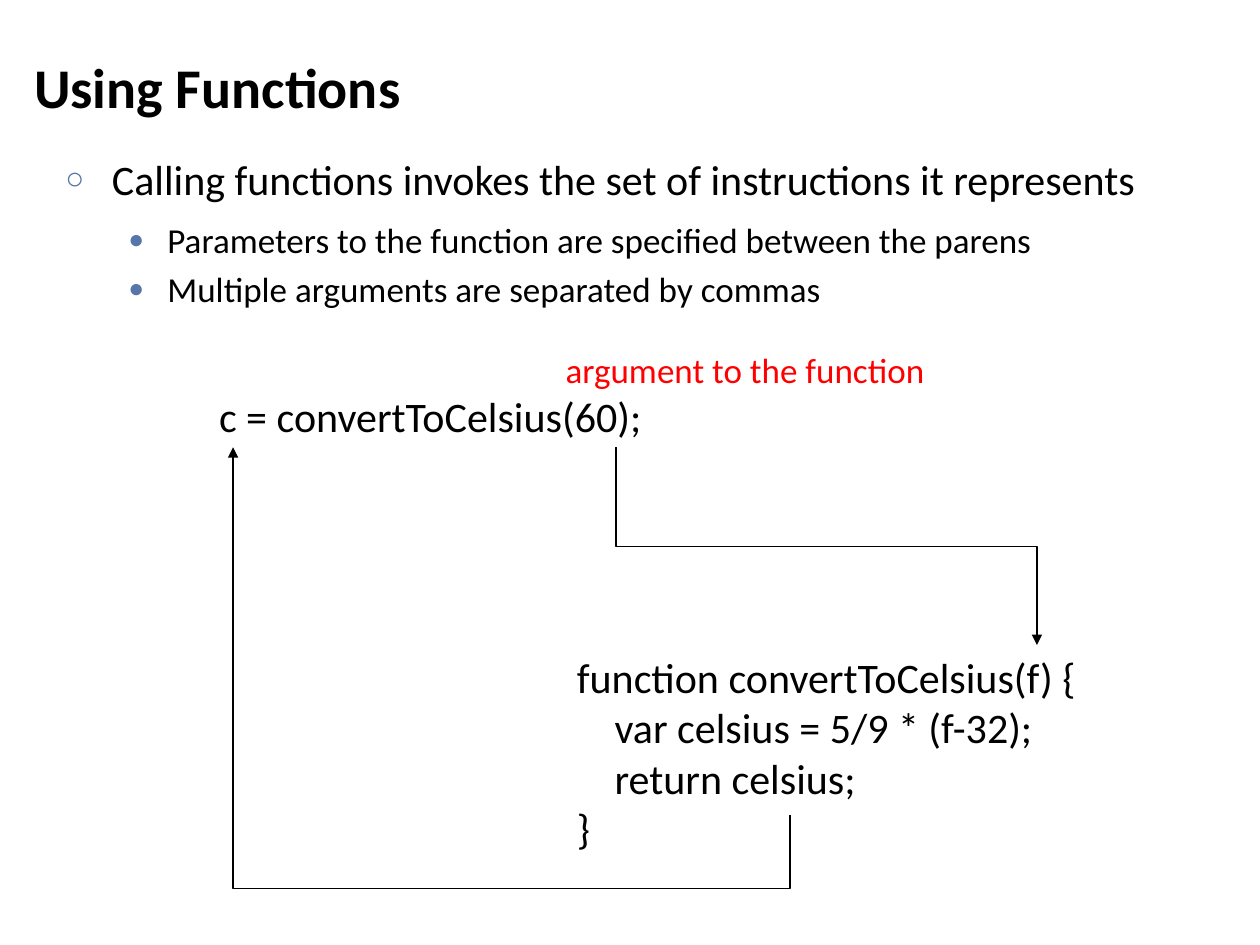
from lxml.etree import SubElement
from pptx import Presentation
from pptx.dml.color import RGBColor
from pptx.enum.shapes import MSO_CONNECTOR
from pptx.enum.text import MSO_ANCHOR, MSO_AUTO_SIZE, PP_ALIGN
from pptx.oxml.ns import qn
from pptx.util import Inches, Pt

FONT = "Calibri"
BLACK, RED, BULLET_BLUE = "000000", "FF0000", "5675A9"
CODE_INDENT = 0.3


def color(value):
    return RGBColor.from_string(value)


def add_xml(parent, tag, **attrs):
    return SubElement(parent, qn(tag), attrs)


def style(p, size, fill=BLACK, bold=False):
    for r in p.runs:
        r.font.name, r.font.size, r.font.bold = FONT, Pt(size), bold
        r.font.color.rgb = color(fill)


def add_title(s, text, box):
    sp = s.shapes.title
    sp.left, sp.top, sp.width, sp.height = map(Inches, box)
    tf = sp.text_frame
    tf.text = text
    tf.vertical_anchor = MSO_ANCHOR.MIDDLE
    p = tf.paragraphs[0]
    p.alignment = PP_ALIGN.LEFT
    style(p, 32, bold=True)


def add_text(s, lines, box, size, fill=BLACK, wrap=False):
    """Add a text box with one paragraph per line and return its paragraphs."""
    tf = s.shapes.add_textbox(*map(Inches, box)).text_frame
    tf.text = "\n".join(lines)
    tf.word_wrap = wrap
    tf.auto_size = MSO_AUTO_SIZE.NONE if wrap else MSO_AUTO_SIZE.SHAPE_TO_FIT_TEXT
    for p in tf.paragraphs:
        style(p, size, fill)
    return tf.paragraphs


def add_bullet(p, char, margin, hanging, spacing):
    """Spacing before and after is a percentage of the line."""
    pPr = p._p.get_or_add_pPr()
    pPr.set("marL", str(Inches(margin)))
    pPr.set("indent", str(-Inches(hanging)))
    for tag in ("a:spcBef", "a:spcAft"):
        add_xml(add_xml(pPr, tag), "a:spcPct", val=str(spacing * 1000))
    add_xml(add_xml(pPr, "a:buClr"), "a:srgbClr", val=BULLET_BLUE)
    add_xml(pPr, "a:buSzPct", val="75000")
    add_xml(pPr, "a:buFont", typeface="Arial")
    add_xml(pPr, "a:buChar", char=char)


def add_bullets(s, items, box):
    paragraphs = add_text(s, [text for text, _ in items], box, 24, wrap=True)
    for p, (_, level) in zip(paragraphs, items):
        p.level = level
        if level:
            style(p, 20)
            add_bullet(p, "●", 0.81, 0.31, 10)
        else:
            add_bullet(p, "○", 0.37, 0.37, 25)


def add_elbow_arrow(s, start, end, bend):
    """Leave and arrive vertically; bend is the share of the way to the turn."""
    (x1, y1), (x2, y2) = start, end
    w, h = abs(y2 - y1), abs(x2 - x1)
    left, top = (x1 + x2 - w) / 2, (y1 + y2 - h) / 2
    corners = map(Inches, (left, top, left + w, top + h))
    cxn = s.shapes.add_connector(MSO_CONNECTOR.ELBOW, *corners)
    cxn.line.color.rgb = color(BLACK)
    cxn.line.width = Pt(0.75)
    spPr = cxn._element.spPr
    # Turn the sideways elbow upright
    xfrm = spPr.find(qn("a:xfrm"))
    xfrm.set("rot", str((270 if y2 > y1 else 90) * 60000))
    xfrm.set("flipH", "1")
    guides = spPr.find(qn("a:prstGeom")).find(qn("a:avLst"))
    add_xml(guides, "a:gd", name="adj1", fmla=f"val {round(bend * 100000)}")
    # Arrowhead, no shadow
    add_xml(spPr.find(qn("a:ln")), "a:tailEnd", type="triangle")
    add_xml(spPr, "a:effectLst")


def main():
    prs = Presentation()
    prs.slide_width, prs.slide_height = Inches(10), Inches(7.5)
    s = prs.slides.add_slide(prs.slide_layouts[5])

    # Title and explanation
    add_title(s, "Using Functions", (0.17, 0.12, 9.5, 1.12))
    add_bullets(s, [
        ("Calling functions invokes the set of instructions it represents", 0),
        ("Parameters to the function are specified between the parens", 1),
        ("Multiple arguments are separated by commas", 1),
    ], (0.42, 1.17, 9.25, 5.58))

    # Call and function definition
    add_text(s, ["c = convertToCelsius(60);"], (1.64, 3.05, 3.73, 0.5), 24)
    code = add_text(s, [
        "function convertToCelsius(f) {",
        "var celsius = 5/9 * (f-32);",
        "return celsius;",
        "}",
    ], (4.48, 5.12, 4.27, 1.72), 24)
    for p in code[1:-1]:
        p._p.get_or_add_pPr().set("marL", str(Inches(CODE_INDENT)))
    add_text(s, ["argument to the function"], (4.39, 2.72, 3.12, 0.44), 20, RED)

    # Argument goes in, result comes back
    add_elbow_arrow(s, (4.89, 3.55), (8.23, 5.12), 0.5)
    add_elbow_arrow(s, (6.27, 6.47), (1.85, 3.55), -0.2)

    prs.save("out.pptx")


if __name__ == "__main__":
    main()
